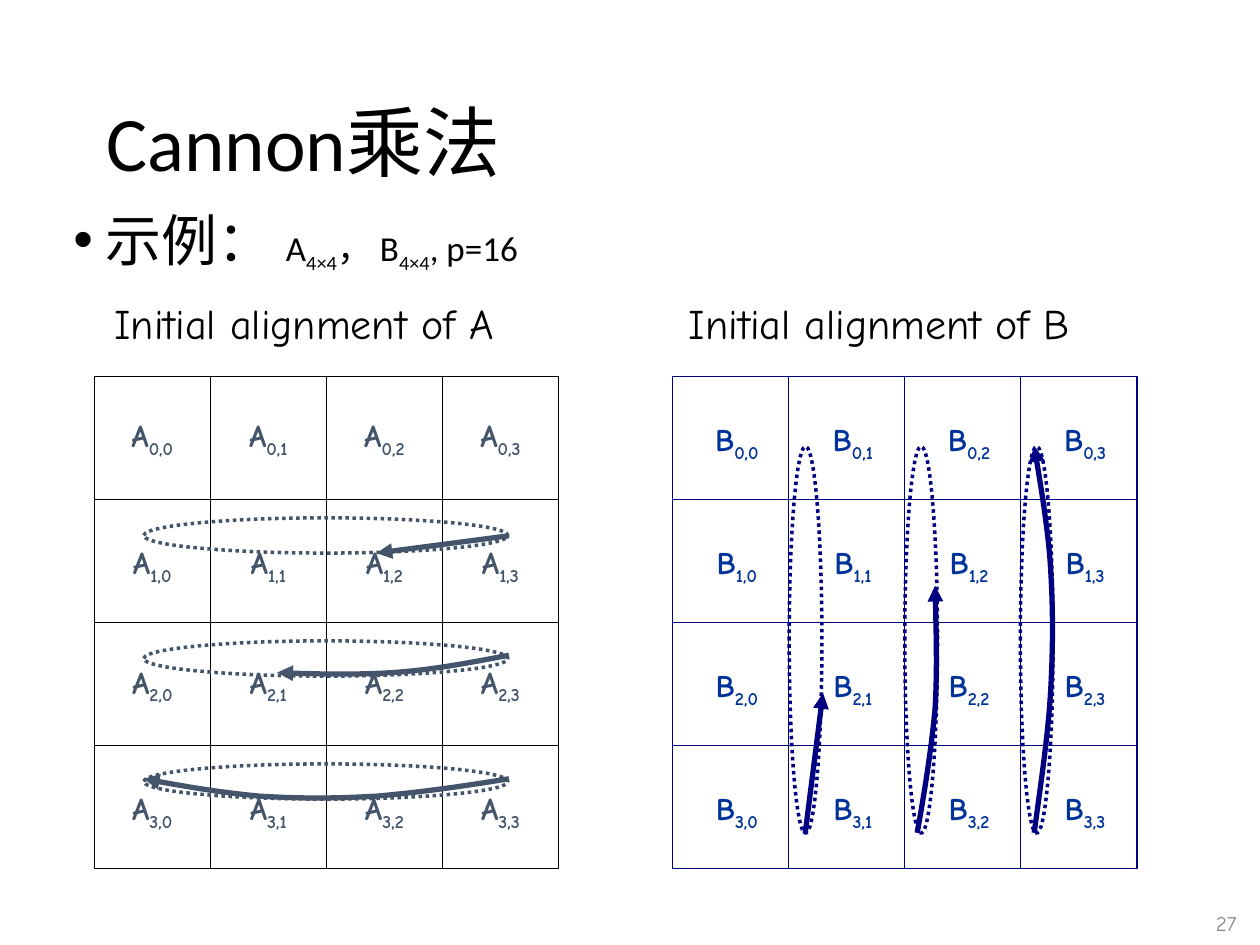
"""Build the slide on the initial alignment step of Cannon multiplication."""
from lxml import etree
from pptx import Presentation
from pptx import util as u
from pptx.dml.color import RGBColor
from pptx.enum import dml, shapes, text
from pptx.oxml import ns

CJK, SANS, COMIC = "Noto Sans CJK JP", "Calibri", "Comic Neue"
BLACK, GREY, SLATE, NAVY, BLUE = "000000", "898989", "44546A", "000080", "003399"
SUBSCRIPT = {"baseline": -25}

TITLE = [("Cannon乘法", {})]
EXAMPLE = [
    ("示例： ", {"size": 32, "font": CJK}),
    ("A", {}), ("4×4", SUBSCRIPT),
    ("， B", {}), ("4×4", SUBSCRIPT),
    (", p=16", {}),
]
PAGE_NUMBER = [("27", {})]

GRID_SIZE = 4
GRID_TOP, CELL_WIDTH, CELL_HEIGHT = 7.59, 2.34, 2.48
MATRICES = [
    {
        "name": "A", "left": 1.9, "border": BLACK, "label": SLATE, "stroke": SLATE,
        "heading": (2.06, 5.87, 9.78, 1.27),
        "loop": (2.9, 10.44, 7.34, 0.71), "loop_step": (0, CELL_HEIGHT),
        "insets": [(0.25, 0.13, 0.25, 0.13), (0.25, 0.13, 0.25, 0)],
        "shifts": [
            [(10.26, 10.8), (7.59, 11.15)],
            [(10.26, 13.21), (9.47, 13.36), (8.69, 13.51), (7.92, 13.56),
             (7.14, 13.61), (6.35, 13.59), (5.59, 13.56)],
            [(10.26, 15.7), (9.35, 15.85), (8.41, 15.98), (7.59, 16.05),
             (6.76, 16.1), (6.02, 16.1), (5.23, 16.05),
             (4.47, 15.98), (3.68, 15.85), (2.9, 15.7)],
        ],
    },
    {
        "name": "B", "left": 13.56, "border": NAVY, "label": BLUE, "stroke": NAVY,
        "heading": (13.64, 5.87, 10.03, 1.27),
        "loop": (15.91, 9, 0.66, 7.8), "loop_step": (2.33, 0),
        "insets": [(0.25, 0.13, 0, 0)],
        "shifts": [
            [(16.23, 16.81), (16.59, 13.97)],
            [(18.49, 16.79), (18.64, 15.95), (18.77, 15.14), (18.85, 14.3),
             (18.9, 13.49), (18.87, 12.65), (18.85, 11.81)],
            [(20.85, 16.79), (20.98, 15.8), (21.13, 14.83), (21.18, 13.94),
             (21.23, 13.06), (21.23, 12.29), (21.18, 11.46),
             (21.13, 10.64), (20.98, 9.8), (20.85, 8.99)],
        ],
    },
]


def color(hex_string):
    return RGBColor.from_string(hex_string)


def place(shape, box):
    shape.left, shape.top, shape.width, shape.height = map(u.Cm, box)


def write_text(shape, runs, size, font, fill=BLACK, bold=False, wrap=True,
               align=text.PP_ALIGN.LEFT, anchor=text.MSO_ANCHOR.TOP,
               insets=(0.25, 0.13, 0.25, 0.13), spacing=1.0, indent=None):
    frame = shape.text_frame
    frame.word_wrap, frame.auto_size = wrap, text.MSO_AUTO_SIZE.NONE
    frame.vertical_anchor = anchor
    (frame.margin_left, frame.margin_top,
     frame.margin_right, frame.margin_bottom) = map(u.Cm, insets)
    paragraph = frame.paragraphs[0]
    paragraph.alignment, paragraph.line_spacing = align, spacing
    paragraph.space_before = u.Pt(0)
    if indent:
        properties = paragraph._p.get_or_add_pPr()
        properties.set("marL", str(u.Cm(indent)))
        properties.set("indent", str(-u.Cm(indent)))
    for content, changes in runs:
        run = paragraph.add_run()
        run.text = content
        run.font.size = u.Pt(changes.get("size", size))
        run.font.name = changes.get("font", font)
        run.font.bold = bold
        run.font.color.rgb = color(fill)
        properties = run._r.get_or_add_rPr()
        etree.SubElement(properties, ns.qn("a:ea"), typeface=CJK)
        if "baseline" in changes:
            properties.set("baseline", str(changes["baseline"] * 1000))


def add_outline(slide, kind, box, stroke, width, dash=None):
    shape = slide.shapes.add_shape(kind, *map(u.Cm, box))
    shape.shadow.inherit = False
    shape.fill.background()
    shape.line.color.rgb, shape.line.width = color(stroke), u.Pt(width)
    if dash:
        shape.line.dash_style = dash
    return shape


def add_textbox(slide, box, runs, **text_format):
    write_text(slide.shapes.add_textbox(*map(u.Cm, box)), runs, **text_format)


def sample_curve(points, steps=10):
    """Return points along joined cubic Bezier segments."""
    samples = [points[0]]
    for first in range(0, len(points) - 1, 3):
        segment = points[first:first + 4]
        for step in range(1, steps + 1):
            t = step / steps
            weights = ((1 - t) ** 3, 3 * t * (1 - t) ** 2, 3 * t * t * (1 - t), t ** 3)
            samples.append(tuple(sum(w * point[axis] for w, point in zip(weights, segment))
                                 for axis in (0, 1)))
    return samples


def add_arrow(slide, points, stroke):
    if len(points) == 2:
        start, end = points
        arrow = slide.shapes.add_connector(
            shapes.MSO_CONNECTOR.STRAIGHT, *map(u.Cm, start + end))
        etree.SubElement(arrow._element.spPr, ns.qn("a:effectLst"))
    else:
        start, *rest = [tuple(map(u.Cm, point)) for point in sample_curve(points)]
        builder = slide.shapes.build_freeform(*start)
        builder.add_line_segments(rest, close=False)
        arrow = builder.convert_to_shape()
        arrow.shadow.inherit = False
        arrow.fill.background()
    arrow.line.color.rgb, arrow.line.width = color(stroke), u.Pt(3)
    etree.SubElement(arrow.line._get_or_add_ln(), ns.qn("a:tailEnd"), type="triangle")


def add_matrix(slide, matrix):
    name, insets = matrix["name"], matrix["insets"]
    for column in range(GRID_SIZE):
        for row in range(GRID_SIZE):
            box = (matrix["left"] + column * CELL_WIDTH, GRID_TOP + row * CELL_HEIGHT,
                   CELL_WIDTH, CELL_HEIGHT)
            cell = add_outline(slide, shapes.MSO_SHAPE.RECTANGLE, box, matrix["border"], 0.75)
            write_text(cell, [(name, {}), (f"{row},{column}", SUBSCRIPT)], size=18,
                       font=COMIC, fill=matrix["label"], bold=True, wrap=False,
                       align=text.PP_ALIGN.CENTER, anchor=text.MSO_ANCHOR.MIDDLE,
                       insets=insets[row % len(insets)])
    add_textbox(slide, matrix["heading"], [(f"Initial alignment of {name}", {})],
                size=24, font=COMIC)
    left, top, width, height = matrix["loop"]
    step_x, step_y = matrix["loop_step"]
    for index, points in enumerate(matrix["shifts"]):
        box = (left + index * step_x, top + index * step_y, width, height)
        add_outline(slide, shapes.MSO_SHAPE.OVAL, box, matrix["stroke"], 2,
                    dml.MSO_LINE.ROUND_DOT)
        add_arrow(slide, points, matrix["stroke"])


def main():
    presentation = Presentation()
    presentation.slide_width, presentation.slide_height = u.Cm(25.4), u.Cm(19.05)
    slide = presentation.slides.add_slide(presentation.slide_layouts[1])
    title, body = slide.placeholders
    place(title, (1.9, 1.9, 21.8, 2.12))
    write_text(title, TITLE, size=44, font=SANS, anchor=text.MSO_ANCHOR.MIDDLE, spacing=0.9)
    place(body, (1.3, 4.19, 22.6, 3.73))
    write_text(body, EXAMPLE, size=20, font=SANS, insets=(0.18, 0.08, 0.18, 0.08),
               spacing=0.9, indent=0.64)
    add_textbox(slide, (19.9, 17.98, 5.28, 1.27), PAGE_NUMBER, size=12, font=COMIC,
                fill=GREY, align=text.PP_ALIGN.RIGHT, anchor=text.MSO_ANCHOR.MIDDLE)
    for matrix in MATRICES:
        add_matrix(slide, matrix)
    presentation.save("out.pptx")


if __name__ == "__main__":
    main()
